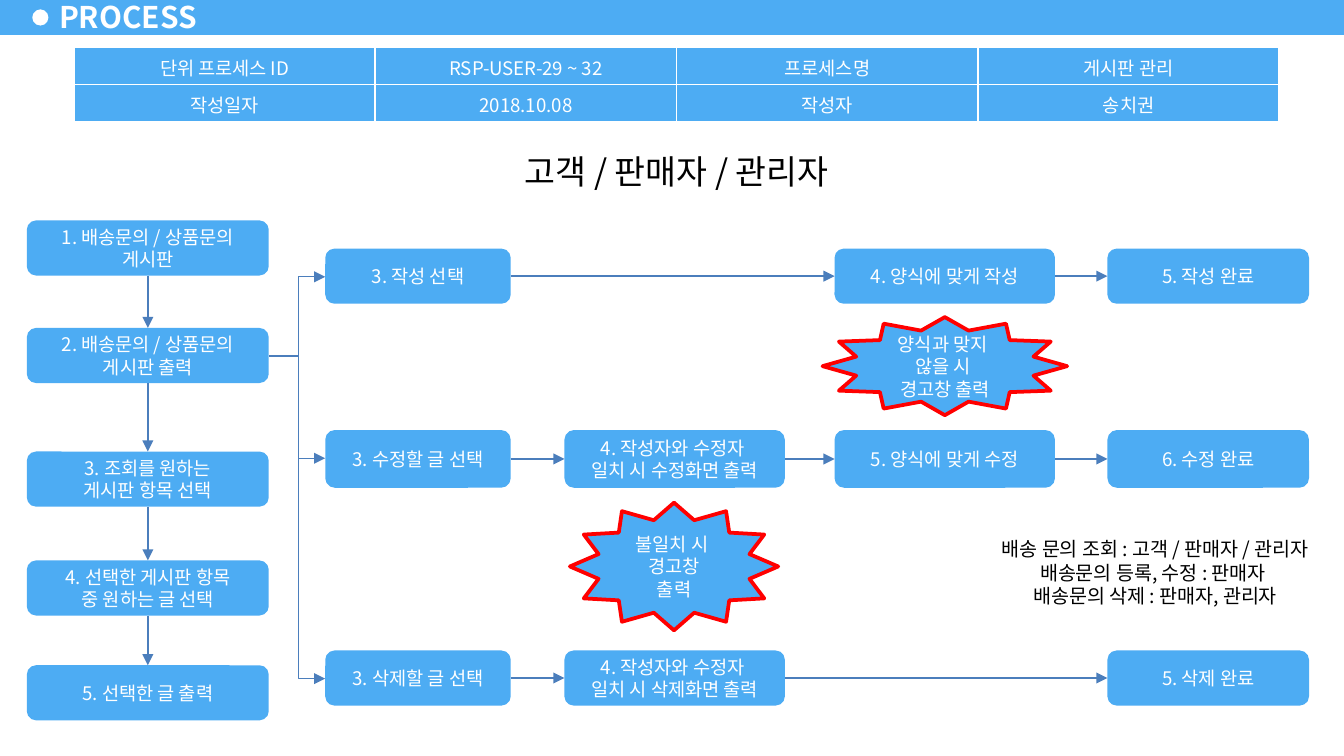
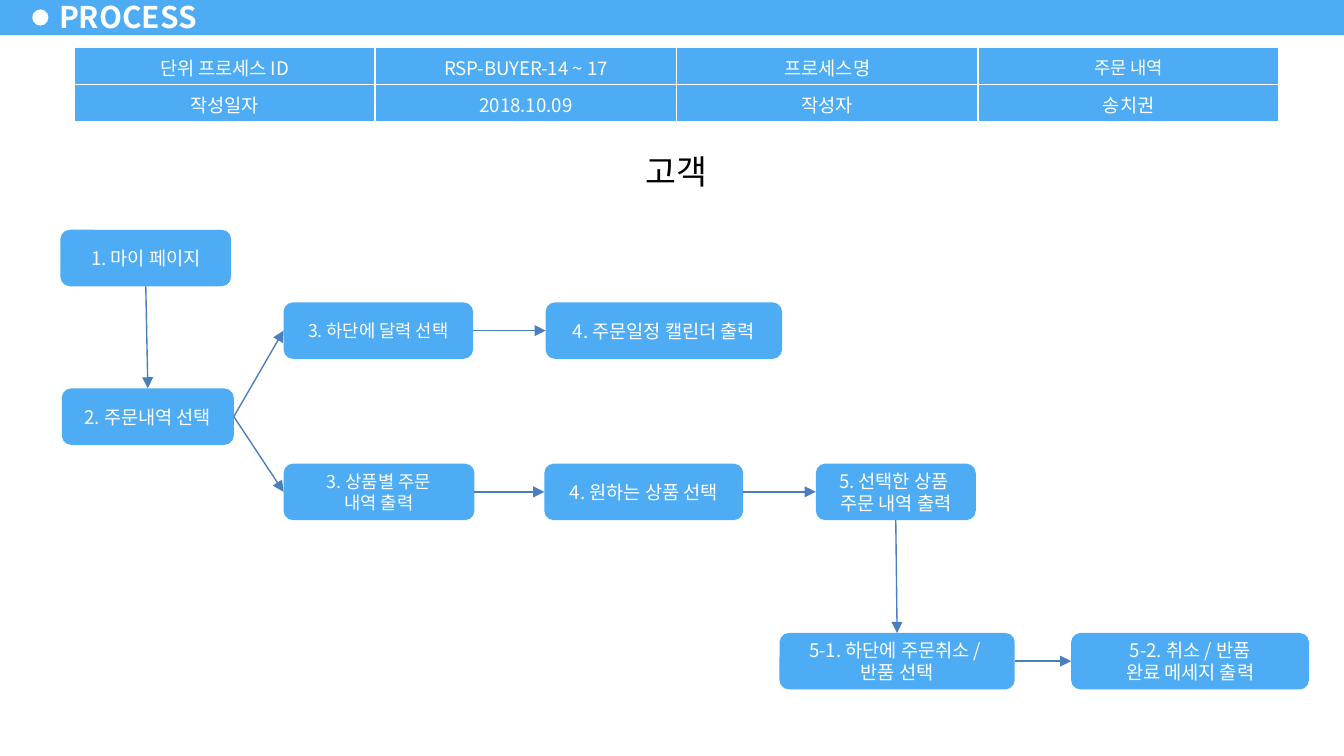
"""Build two process-flow slides for an online shop."""
from lxml import etree
from pptx import Presentation
from pptx import util as u
from pptx.dml import color
from pptx.enum import shapes, text
from pptx.oxml import ns

COLORS = {"blue": "4DACF3", "white": "FFFFFF", "black": "000000",
          "red": "FF0000", "arrow": "4B7EBC"}
FONT = "Noto Sans CJK KR"
BOX_H = 0.41
TOP, LEFT, BOTTOM, RIGHT = range(4)


def rgb(name):
    return color.RGBColor.from_string(COLORS[name])


def inches(*values):
    return [u.Inches(v) for v in values]


def sub(parent, tag, **attrs):
    return etree.SubElement(parent, ns.qn(tag), **attrs)


def write(tf, content, size=10, ink="white", bold=False, align=text.PP_ALIGN.CENTER):
    for i, para in enumerate(content.split("\n")):
        p = tf.add_paragraph() if i else tf.paragraphs[0]
        p.alignment = align
        for j, line in enumerate(para.split("\v")):
            if j:
                p.add_line_break()
            r = p.add_run()
            r.text = line
            r.font.size = u.Pt(size)
            r.font.bold = bold
            r.font.name = FONT
            r.font.color.rgb = rgb(ink)
            sub(r._r.get_or_add_rPr(), "a:ea", typeface=FONT)


def set_frame(tf, x=0.1, y=0.05, anchor=text.MSO_ANCHOR.MIDDLE):
    tf.word_wrap = True
    tf.vertical_anchor = anchor
    tf.margin_left = tf.margin_right = u.Inches(x)
    tf.margin_top = tf.margin_bottom = u.Inches(y)


def add_shape(s, kind, at, fill="blue"):
    sp = s.shapes.add_shape(kind, *inches(*at))
    sp.shadow.inherit = False
    sp.fill.solid()
    sp.fill.fore_color.rgb = rgb(fill)
    sp.line.fill.background()
    return sp


def add_box(s, x, y, w, content, h=BOX_H, size=10):
    sp = add_shape(s, shapes.MSO_SHAPE.ROUNDED_RECTANGLE, (x, y, w, h))
    set_frame(sp.text_frame)
    write(sp.text_frame, content, size)
    return sp


def add_burst(s, at, content):
    sp = add_shape(s, shapes.MSO_SHAPE.STAR_12_POINT, at)
    sp.line.color.rgb = rgb("red")
    sp.line.width = u.Pt(2)
    set_frame(sp.text_frame, 0, 0)
    write(sp.text_frame, content)


def add_label(s, at, content, size):
    sp = add_shape(s, shapes.MSO_SHAPE.RECTANGLE, at, "white")
    set_frame(sp.text_frame, anchor=text.MSO_ANCHOR.TOP)
    sp.text_frame.auto_size = text.MSO_AUTO_SIZE.SHAPE_TO_FIT_TEXT
    write(sp.text_frame, content, size, "black")


def add_arrow(s, start, end, bend=None):
    kind = shapes.MSO_CONNECTOR.STRAIGHT if bend is None else shapes.MSO_CONNECTOR.ELBOW
    c = s.shapes.add_connector(kind, *inches(*start, *end))
    c.line.color.rgb = rgb("arrow")
    c.line.width = u.Pt(0.75)
    sub(c.line._get_or_add_ln(), "a:tailEnd", type="triangle")
    spPr = c._element.spPr
    sub(spPr, "a:effectLst")
    if bend is not None:
        guides = spPr.find(".//" + ns.qn("a:avLst"))
        sub(guides, "a:gd", name="adj1", fmla=f"val {round(bend * 100000)}")
    return c


def link(s, boxes, begin=RIGHT, end=LEFT):
    for a, b in zip(boxes, boxes[1:]):
        c = add_arrow(s, (0, 0), (1, 1))
        c.begin_connect(a, begin)
        c.end_connect(b, end)


def add_header(s):
    add_shape(s, shapes.MSO_SHAPE.RECTANGLE, (0, -0.02, 10, 0.28))
    add_shape(s, shapes.MSO_SHAPE.OVAL, (0.24, 0.07, 0.12, 0.12), "white")
    tf = s.shapes.add_textbox(*inches(0.35, -0.04, 1.22, 0.32)).text_frame
    set_frame(tf, 0.09, 0.04)
    write(tf, "PROCESS", 16, bold=True, align=text.PP_ALIGN.LEFT)


def add_info_table(s, process_id, name, date, name_size):
    rows = [["단위 프로세스 ID", process_id, "프로세스명", name],
            ["작성일자", date, "작성자", "송치권"]]
    table = s.shapes.add_table(2, 4, *inches(0.55, 0.35, 8.97, 0.56)).table
    for row, values in zip(table.rows, rows):
        row.height = u.Inches(0.28)
        for cell, value in zip(row.cells, values):
            tcPr = cell._tc.get_or_add_tcPr()
            for side in ("a:lnL", "a:lnR", "a:lnT", "a:lnB"):
                ln = sub(tcPr, side, w=str(u.Pt(1)))
                sub(sub(ln, "a:solidFill"), "a:srgbClr", val=COLORS["white"])
            cell.fill.solid()
            cell.fill.fore_color.rgb = rgb("blue")
            cell.vertical_anchor = text.MSO_ANCHOR.MIDDLE
            cell.margin_left = cell.margin_right = u.Inches(0.1)
            cell.margin_top = cell.margin_bottom = u.Inches(0.05)
            write(cell.text_frame, value, name_size if value == name else 10)


def new_slide(prs, role, process_id, name, date, name_size=10):
    s = prs.slides.add_slide(prs.slide_layouts[6])
    add_header(s)
    add_label(s, (3.25, 1.07, 3.57, 0.41), role, 18)
    add_info_table(s, process_id, name, date, name_size)
    return s


def build_board(prs):
    s = new_slide(prs, "고객 / 판매자 / 관리자", "RSP-USER-29 ~ 32", "게시판 관리", "2018.10.08")
    steps = [(1.64, "1. 배송문의 / 상품문의 게시판"),
             (2.44, "2. 배송문의 / 상품문의 게시판 출력"),
             (3.36, "3. 조회를 원하는\n게시판 항목 선택"),
             (4.17, "4. 선택한 게시판 항목\n중 원하는 글 선택"),
             (4.95, "5. 선택한 글 출력")]
    link(s, [add_box(s, 0.2, y, 1.8, t) for y, t in steps], BOTTOM, TOP)

    select, check, form, done = (2.42, 1.38), (4.2, 1.64), (6.21, 1.64), (8.24, 1.5)
    lanes = [(1.85, BOX_H, [(select, "3. 작성 선택"), (form, "4. 양식에 맞게 작성"),
                            (done, "5. 작성 완료")]),
             (3.2, 0.43, [(select, "3. 수정할 글 선택"),
                          (check, "4. 작성자와 수정자 \v일치 시 수정화면 출력"),
                          (form, "5. 양식에 맞게 수정"), (done, "6. 수정 완료")]),
             (4.84, BOX_H, [(select, "3. 삭제할 글 선택"),
                            (check, "4. 작성자와 수정자 \v일치 시 삭제화면 출력"),
                            (done, "5. 삭제 완료")])]
    for y, h, lane in lanes:
        link(s, [add_box(s, x, y, w, t, h) for (x, w), t in lane])

    spine = 2.22
    add_arrow(s, (2, 2.65), (2.42, 2.06), 0.526)
    add_arrow(s, (spine, 2.65), (2.42, 5.05), 0)
    add_arrow(s, (spine, 3.41), (2.42, 3.41))
    add_burst(s, (6.12, 2.36, 1.82, 0.73), "양식과 맞지 \v않을 시 \v경고창 출력")
    add_burst(s, (4.24, 3.74, 1.55, 0.95), "불일치 시 \v경고창\n출력")
    add_label(s, (7.19, 3.95, 2.81, 0.63),
              "배송 문의 조회 : 고객 / 판매자 / 관리자\v"
              "배송문의 등록, 수정 : 판매자 \v배송문의 삭제 : 판매자, 관리자", 10.5)


def build_orders(prs):
    s = new_slide(prs, "고객", "RSP-BUYER-14 ~ 17", "주문 내역", "2018.10.09", 9.5)
    h = 0.42
    my_page = add_box(s, 0.45, 1.71, 1.27, "1. 마이 페이지", h)
    orders = add_box(s, 0.46, 2.89, 1.28, "2. 주문내역 선택", h)
    pick_date = add_box(s, 2.11, 2.25, 1.41, "3. 하단에 달력 선택", h, 9.5)
    calendar = add_box(s, 4.06, 2.25, 1.76, "4. 주문일정 캘린더 출력", h)
    by_item = add_box(s, 2.11, 3.45, 1.42, "3. 상품별 주문\n내역 출력", h, 9.5)
    pick_item = add_box(s, 4.05, 3.45, 1.48, "4. 원하는 상품 선택", h)
    detail = add_box(s, 6.07, 3.45, 1.19, "5. 선택한 상품 \n주문 내역 출력", h)
    cancel = add_box(s, 5.8, 4.71, 1.75, "5-1. 하단에 주문취소 / \n반품 선택", h)
    message = add_box(s, 7.97, 4.71, 1.77, "5-2. 취소 / 반품\n완료 메세지 출력", h)
    for pair in ([my_page, orders], [detail, cancel]):
        link(s, pair, BOTTOM, TOP)
    for chain in ([orders, pick_date, calendar],
                  [orders, by_item, pick_item, detail], [cancel, message]):
        link(s, chain)


def main():
    prs = Presentation()
    prs.slide_width = u.Inches(10)
    prs.slide_height = u.Inches(10 * 9 / 16)
    build_board(prs)
    build_orders(prs)
    prs.save("out.pptx")


main()
